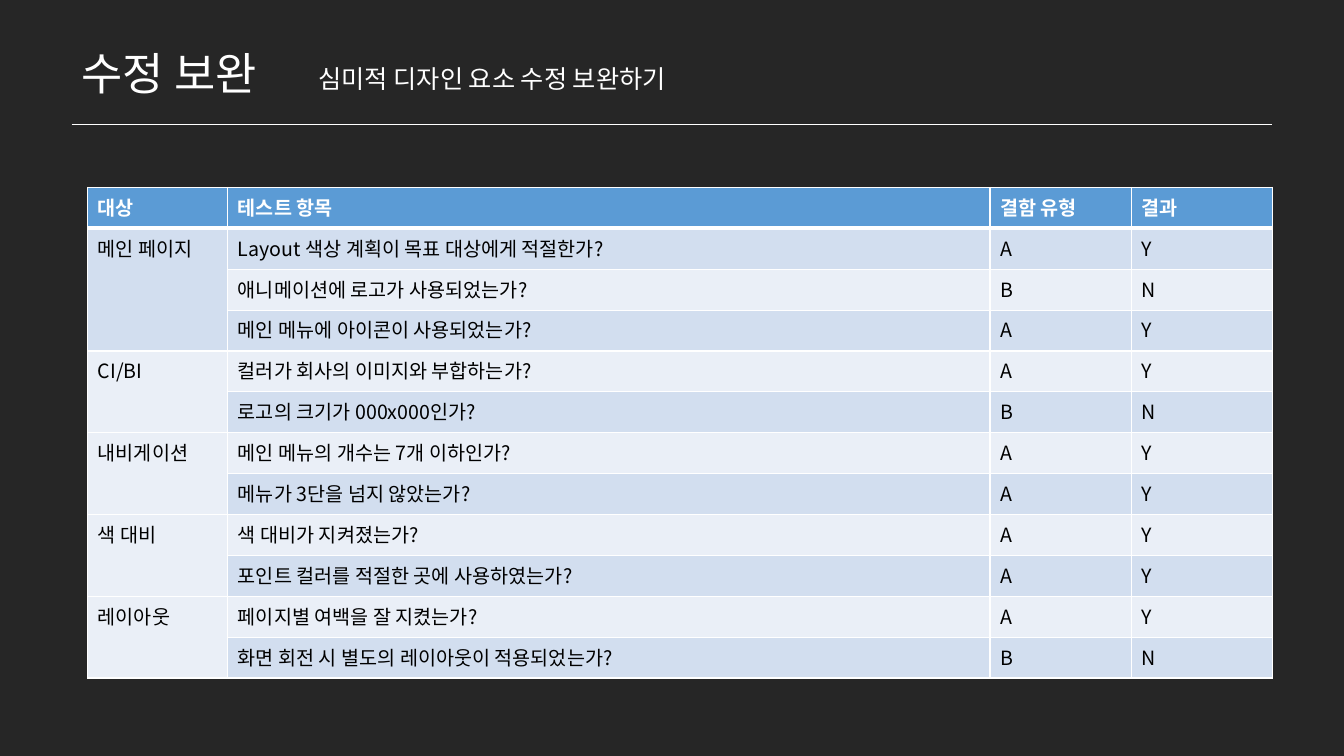
from pptx import Presentation
from pptx import util as u
from pptx.dml.color import RGBColor
from pptx.enum import shapes, text
from pptx.oxml.ns import qn
from lxml import etree

FONT = "Noto Sans CJK KR"
WHITE, BLACK, BACKGROUND = "FFFFFF", "000000", "262626"
HEADER_FILL, BAND_FILLS = "5B9BD5", ("D2DEEF", "EAEFF7")
COLUMN_WIDTHS = (1.39, 7.56, 1.4, 1.4)
HEADERS = ("대상", "테스트 항목", "결함 유형", "결과")
TEST_GROUPS = (
    ("메인 페이지", (
        ("Layout 색상 계획이 목표 대상에게 적절한가?", "A", "Y"),
        ("애니메이션에 로고가 사용되었는가?", "B", "N"),
        ("메인 메뉴에 아이콘이 사용되었는가?", "A", "Y"))),
    ("CI/BI", (
        ("컬러가 회사의 이미지와 부합하는가?", "A", "Y"),
        ("로고의 크기가 000x000인가?", "B", "N"))),
    ("내비게이션", (
        ("메인 메뉴의 개수는 7개 이하인가?", "A", "Y"),
        ("메뉴가 3단을 넘지 않았는가?", "A", "Y"))),
    ("색 대비", (
        ("색 대비가 지켜졌는가?", "A", "Y"),
        ("포인트 컬러를 적절한 곳에 사용하였는가?", "A", "Y"))),
    ("레이아웃", (
        ("페이지별 여백을 잘 지켰는가?", "A", "Y"),
        ("화면 회전 시 별도의 레이아웃이 적용되었는가?", "B", "N"))),
)


def color(value):
    return RGBColor.from_string(value)


def write(frame, words, size, font_color=WHITE, bold=False):
    frame.text = words
    paragraph = frame.paragraphs[0]
    paragraph.alignment = text.PP_ALIGN.LEFT
    font = paragraph.font
    font.size = u.Pt(size)
    font.bold = bold
    font.color.rgb = color(font_color)
    font.name = FONT
    properties = paragraph._p.find(qn("a:pPr")).find(qn("a:defRPr"))
    etree.SubElement(properties, qn("a:ea"), typeface=FONT)


def add_heading(slide, left, top, width):
    title = slide.shapes.title
    title.left, title.top = u.Inches(left), u.Inches(top)
    title.width, title.height = u.Inches(width), u.Inches(0.64)
    write(title.text_frame, "수정 보완", 32)
    title.text_frame.vertical_anchor = text.MSO_ANCHOR.MIDDLE

    subtitle = slide.shapes.add_textbox(
        u.Inches(left + 2.35), u.Inches(top + 0.18), u.Inches(4.09), u.Inches(0.4))
    write(subtitle.text_frame, "심미적 디자인 요소 수정 보완하기", 18)
    subtitle.text_frame.word_wrap = False
    subtitle.text_frame.vertical_anchor = text.MSO_ANCHOR.MIDDLE

    rule_top = u.Inches(top + 0.83)
    rule = slide.shapes.add_connector(
        shapes.MSO_CONNECTOR.STRAIGHT,
        u.Inches(left), rule_top, u.Inches(left + 11.91), rule_top)
    rule.line.color.rgb = color(WHITE)
    rule.line.width = u.Pt(0.5)
    etree.SubElement(rule._element.spPr, qn("a:effectLst"))


def set_borders(cell, top, bottom):
    properties = cell._tc.get_or_add_tcPr()
    widths = {"lnL": 1, "lnR": 1, "lnT": top, "lnB": bottom}
    for index, (side, width) in enumerate(widths.items()):
        line = etree.Element(qn(f"a:{side}"), w=str(u.Pt(width)))
        fill = etree.SubElement(line, qn("a:solidFill"))
        etree.SubElement(fill, qn("a:srgbClr"), val=WHITE)
        properties.insert(index, line)


def add_test_table(slide, left, top, width, height):
    rows = [HEADERS]
    merges = []
    for target, tests in TEST_GROUPS:
        merges.append((len(rows), len(rows) + len(tests) - 1))
        rows += [(target if index == 0 else "", *test) for index, test in enumerate(tests)]

    table = slide.shapes.add_table(
        len(rows), len(HEADERS), u.Inches(left), u.Inches(top),
        u.Inches(width), u.Inches(height)).table
    for column, column_width in zip(table.columns, COLUMN_WIDTHS):
        column.width = u.Inches(column_width)

    for row_index, row in enumerate(rows):
        header = row_index == 0
        fill = HEADER_FILL if header else BAND_FILLS[(row_index - 1) % 2]
        for column_index, words in enumerate(row):
            cell = table.cell(row_index, column_index)
            cell.fill.solid()
            cell.fill.fore_color.rgb = color(fill)
            set_borders(cell, 3 if row_index == 1 else 1, 3 if header else 1)
            write(cell.text_frame, words, 14, WHITE if header else BLACK, header)

    for first, last in merges:
        table.cell(first, 0).merge(table.cell(last, 0))


def main():
    presentation = Presentation()
    presentation.slide_width = u.Inches(13.33)
    presentation.slide_height = u.Inches(7.5)
    slide = presentation.slides.add_slide(presentation.slide_layouts[5])
    slide.background.fill.solid()
    slide.background.fill.fore_color.rgb = color(BACKGROUND)
    add_heading(slide, 0.71, 0.4, 12.06)
    add_test_table(slide, 0.87, 1.86, 11.75, 4.87)
    presentation.save("out.pptx")


if __name__ == "__main__":
    main()
